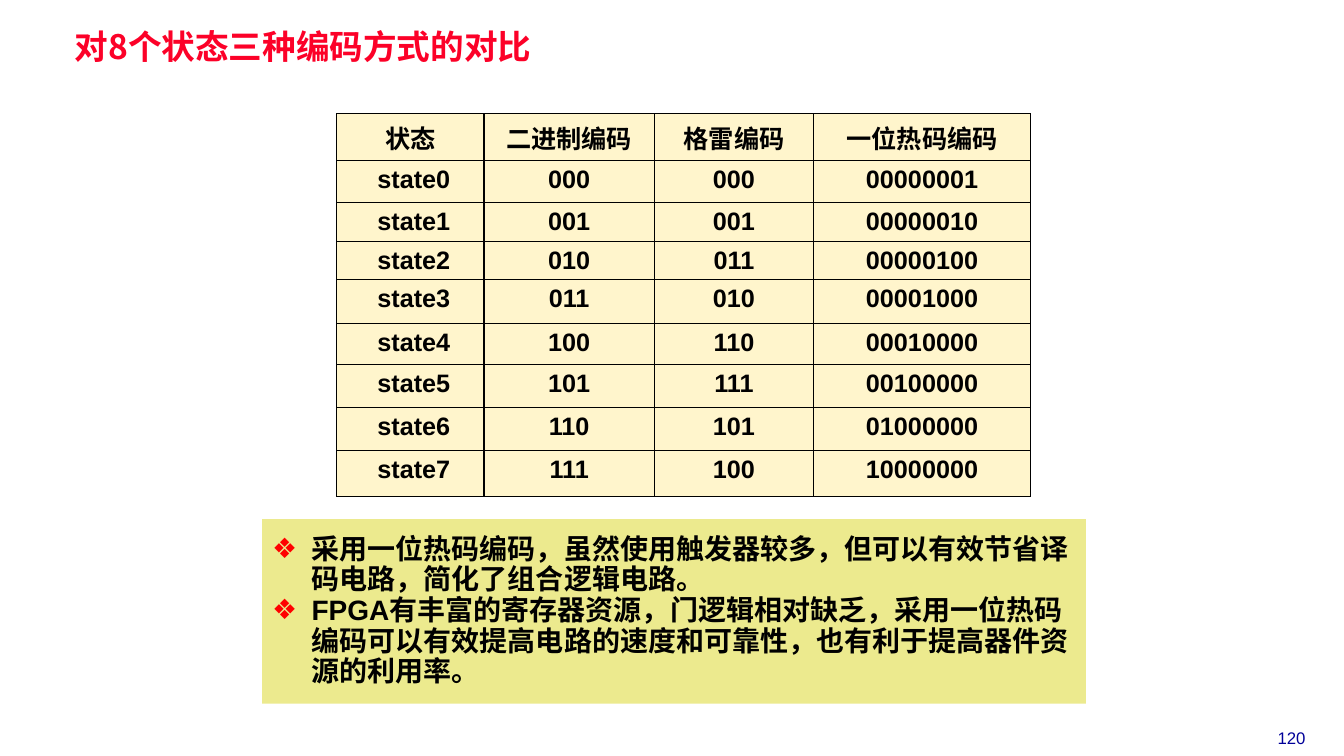
from lxml import etree
from pptx import Presentation
from pptx import util as u
from pptx.dml.color import RGBColor
from pptx.enum import text as t
from pptx.oxml.ns import qn

RED = RGBColor(0xFC, 0x01, 0x28)
NAVY = RGBColor(0x00, 0x00, 0x99)
BLACK = RGBColor(0, 0, 0)
CREAM = RGBColor(0xFF, 0xF5, 0xCC)
OLIVE = RGBColor(0xEC, 0xEA, 0x8E)
LATIN, HAN = "Arial", "Noto Sans CJK SC"

HEADS = ["状态", "二进制编码", "格雷编码", "一位热码编码"]
COLS = [1.46, 1.69, 1.58, 2.15]
ROWS = [0.46, 0.42, 0.38, 0.37, 0.44, 0.4, 0.43, 0.43, 0.45]
NOTES = [
    "采用一位热码编码，虽然使用触发器较多，但可以有效节省译码电路，简化了组合逻辑电路。",
    "FPGA有丰富的寄存器资源，门逻辑相对缺乏，采用一位热码编码可以有效提高电路的速度和可靠性，"
    "也有利于提高器件资源的利用率。",
]


def write(para, words, size=18, color=BLACK, bold=True, font=LATIN,
          align=t.PP_ALIGN.CENTER, line=1.0):
    """Put one formatted run into a paragraph."""
    para.alignment = align
    para.line_spacing = line
    para.space_before = u.Pt(0)
    run = para.add_run()
    run.text = words
    run.font.size, run.font.bold, run.font.name = u.Pt(size), bold, font
    run.font.color.rgb = color
    etree.SubElement(run._r.get_or_add_rPr(), qn("a:ea"), typeface=HAN)


def place(shape, box):
    """Move a shape to a box given in inches."""
    shape.left, shape.top, shape.width, shape.height = map(u.Inches, box)
    frame = shape.text_frame
    frame.word_wrap = True
    frame.auto_size = t.MSO_AUTO_SIZE.NONE
    return frame


def bullet(para):
    """Give a paragraph a red diamond and a hanging indent."""
    props = para._p.get_or_add_pPr()
    indent = u.Inches(0.39)
    props.set("marL", str(indent))
    props.set("indent", str(-indent))
    tint = etree.SubElement(props, qn("a:buClr"))
    etree.SubElement(tint, qn("a:srgbClr"), val="FF0000")
    etree.SubElement(props, qn("a:buChar"), char="❖")


def border(cell):
    """Draw thin black lines on all four sides of a cell."""
    props = cell._tc.get_or_add_tcPr()
    for spot, side in enumerate(("a:lnL", "a:lnR", "a:lnT", "a:lnB")):
        edge = etree.Element(qn(side), w=str(u.Pt(1)))
        fill = etree.SubElement(edge, qn("a:solidFill"))
        etree.SubElement(fill, qn("a:srgbClr"), val=str(BLACK))
        props.insert(spot, edge)


def heading(slide, box):
    frame = place(slide.shapes.title, box)
    frame.margin_left = frame.margin_right = u.Inches(0.07)
    frame.margin_top = frame.margin_bottom = u.Inches(0.03)
    frame.vertical_anchor = t.MSO_ANCHOR.MIDDLE
    write(frame.paragraphs[0], "对8个状态三种编码方式的对比", size=24, color=RED,
          font=HAN, align=t.PP_ALIGN.LEFT, line=0.87)


def codes(slide, box):
    # Binary, Gray and one-hot code of each state
    data = [HEADS] + [[f" state{n}", f"{n:03b}", f"{n ^ n >> 1:03b}", f"{1 << n:08b}"]
                      for n in range(8)]
    grid = slide.shapes.add_table(len(ROWS), len(COLS), *map(u.Inches, box)).table
    for col, width in zip(grid.columns, COLS):
        col.width = u.Inches(width)
    for row, height, words in zip(grid.rows, ROWS, data):
        row.height = u.Inches(height)
        for cell, word in zip(row.cells, words):
            cell.fill.solid()
            cell.fill.fore_color.rgb = CREAM
            border(cell)
            write(cell.text_frame.paragraphs[0], word)


def notes(slide, box):
    body = slide.placeholders[1]
    frame = place(body, box)
    body.fill.solid()
    body.fill.fore_color.rgb = OLIVE
    frame.vertical_anchor = t.MSO_ANCHOR.MIDDLE
    for n, words in enumerate(NOTES):
        para = frame.add_paragraph() if n else frame.paragraphs[0]
        para.line_spacing = 0.91
        para.space_before = u.Pt(0)
        bullet(para)
        write(para, words, size=20, align=t.PP_ALIGN.LEFT, line=0.91)


def number(slide, box):
    frame = place(slide.shapes.add_textbox(0, 0, 0, 0), box)
    write(frame.paragraphs[0], "120", size=12, color=NAVY, bold=False)


def main():
    deck = Presentation()
    deck.slide_width, deck.slide_height = u.Inches(13.33), u.Inches(7.5)
    slide = deck.slides.add_slide(deck.slide_layouts[1])
    heading(slide, (0.67, 0.28, 6.28, 0.41))
    codes(slide, (3.34, 1.13, sum(COLS), sum(ROWS)))
    notes(slide, (2.6, 5.15, 8.17, 1.83))
    number(slide, (12.34, 7.17, 0.94, 0.3))
    deck.save("out.pptx")


if __name__ == "__main__":
    main()
